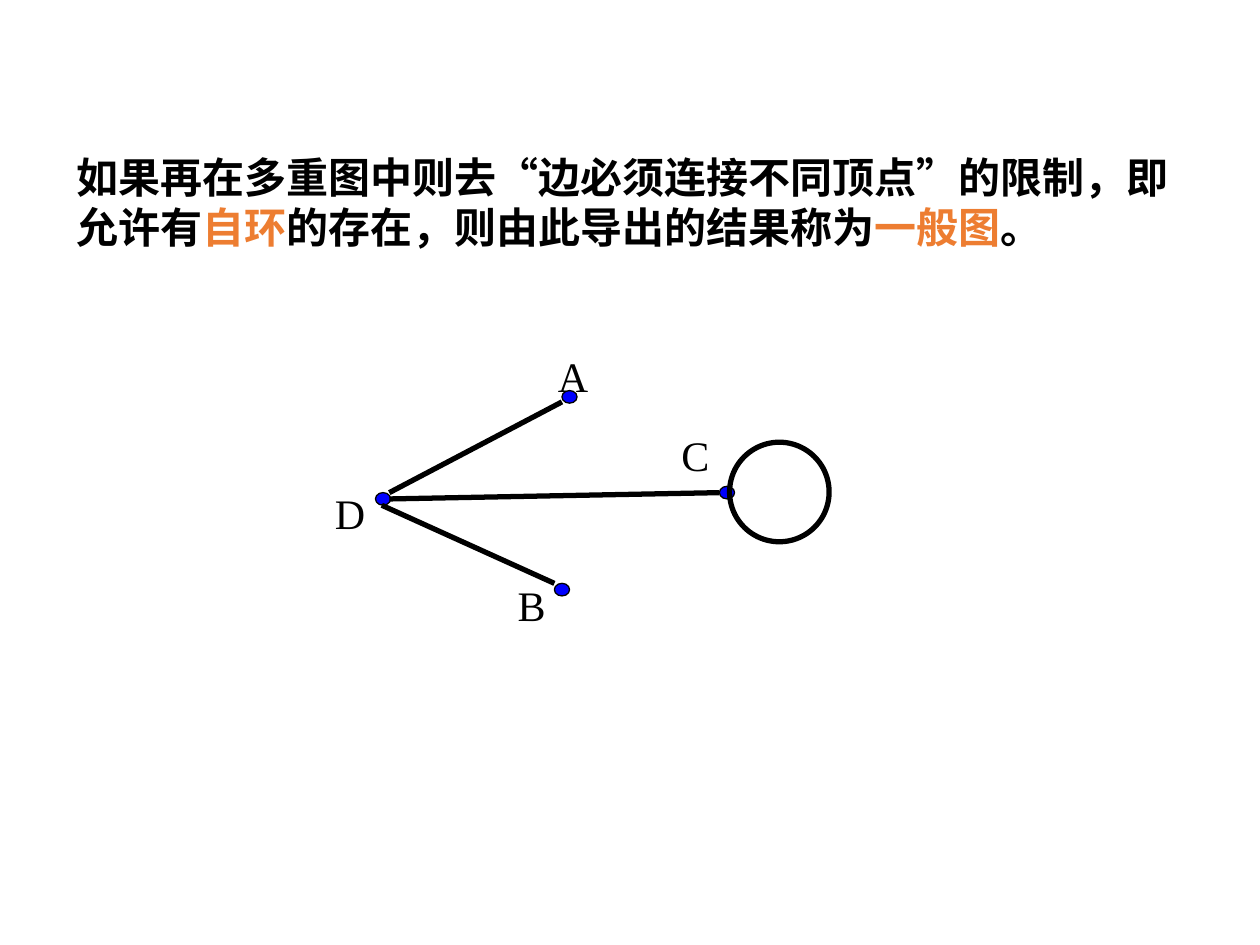
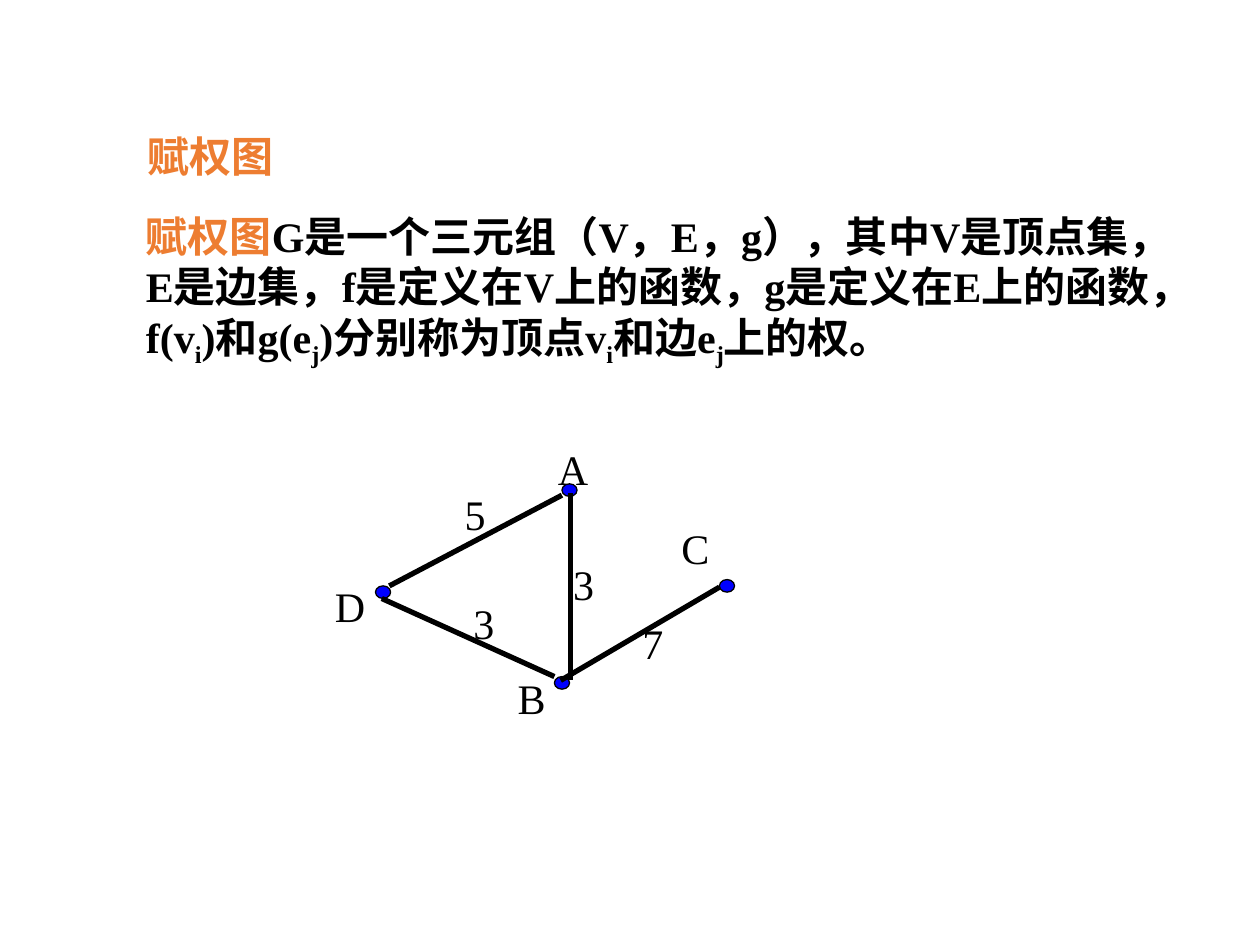
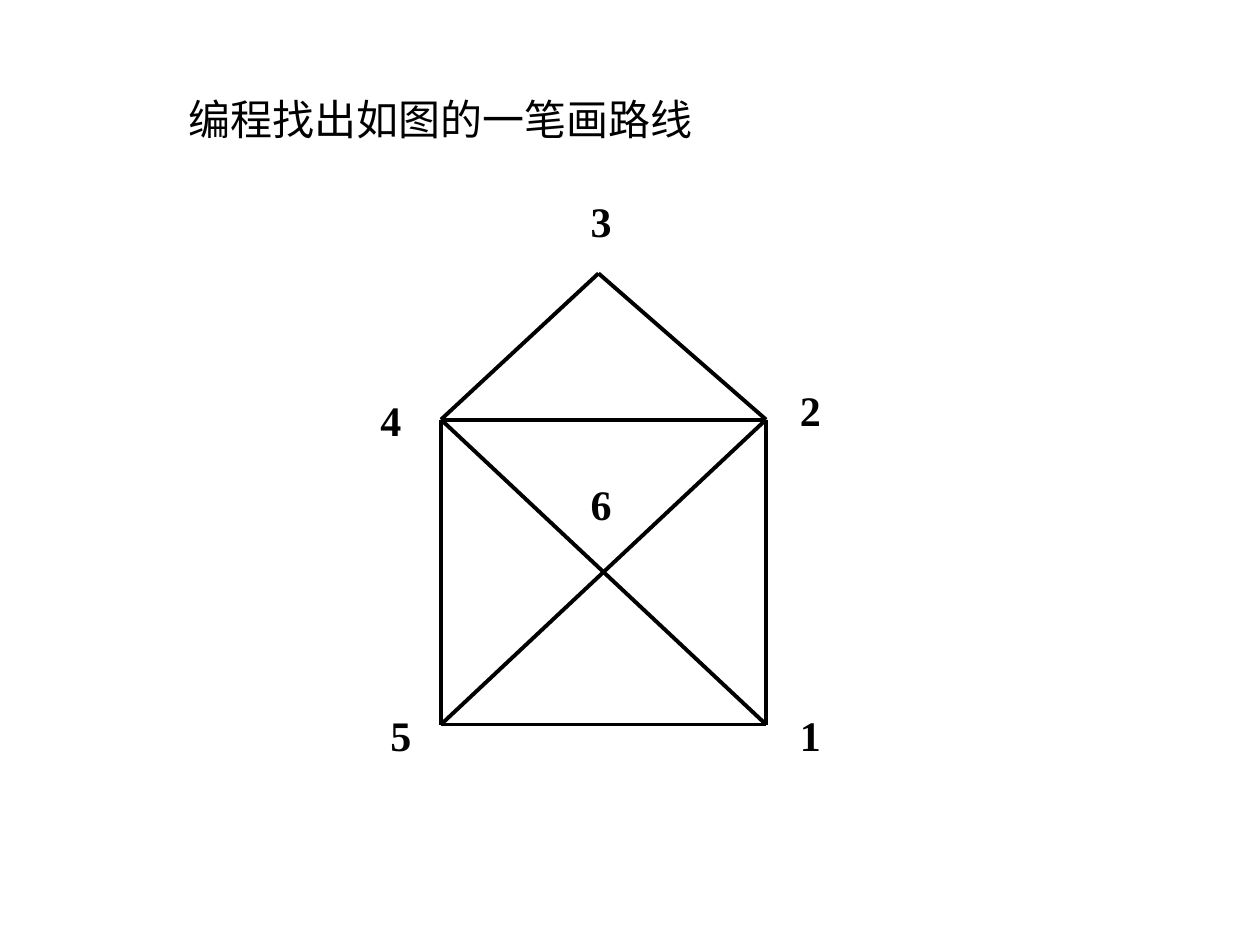
from dataclasses import dataclass

from lxml import etree
from pptx import Presentation
from pptx import util as u
from pptx.dml.color import RGBColor
from pptx.enum import shapes, text
from pptx.oxml import ns

PX = u.Inches(1) // 100


@dataclass(frozen=True)
class Theme:
    ink: str = "000000"
    accent: str = "ED7D31"
    dot: str = "0000FF"
    font: str = "Times New Roman"
    size: int = 24
    outline: float = 0.75
    edge: float = 3
    house_edge: float = 2.25
    subscript: str = "-25000"
    label_height: int = 50


THEME = Theme()

DOT_SIZE = (12, 10)
DOTS = {"D": (42, 118), "C": (315, 113), "A": (190, 37), "B": (184, 190)}
DOT_LABELS = [("A", 177, 0, 44), ("B", 145, 182, 42), ("C", 275, 63, 42), ("D", 0, 109, 44)]
SHARED_EDGES = [((53, 118), (190, 46)), ((184, 190), (47, 128))]
GENERAL_EDGES = [((315, 118), (53, 123))]
WEIGHTED_EDGES = [((315, 119), (189, 193)), ((197, 193), (197, 44))]
WEIGHTS = [("5", 103, 36, 36), ("3", 110, 122, 36), ("3", 189, 91, 36), ("7", 244, 138, 36)]
LOOP = (323, 78, 79, 79)

CORNERS = {"1": (316, 425), "2": (316, 183), "3": (183, 67), "4": (58, 183), "5": (58, 425)}
HOUSE_EDGES = ["41", "43", "32", "25", "21", "42", "51", "45"]
HOUSE_LABELS = [("5", 8, 408, 36), ("1", 333, 408, 36), ("6", 167, 225, 36),
                ("4", 0, 158, 36), ("3", 167, 0, 36), ("2", 333, 150, 36)]

GENERAL_TEXT = [
    ("如果再在多重图中则去“边必须连接不同顶点”的限制，即允许有", "ink"),
    ("自环", "accent"),
    ("的存在，则由此导出的结果称为", "ink"),
    ("一般图", "accent"),
    ("。", "ink"),
]
WEIGHTED_TEXT = [
    ("赋权图", "accent"),
    ("G是一个三元组（V，E，g），其中V是顶点集，E是边集，f是定义在V上的函数，g是定义在E上的函数，f(v", "ink"),
    ("i", "subscript"),
    (")和g(e", "ink"),
    ("j", "subscript"),
    (")分别称为顶点v", "ink"),
    ("i", "subscript"),
    ("和边e", "ink"),
    ("j", "subscript"),
    ("上的权。", "ink"),
]


def apply_format(target, values):
    for name, value in values.items():
        setattr(target, name, value)


def color(name):
    return RGBColor.from_string(getattr(THEME, name))


def add_text(parent, box, spans, bold=False, wrap=False):
    frame = parent.shapes.add_textbox(*(value * PX for value in box)).text_frame
    apply_format(frame, {"word_wrap": wrap, "auto_size": text.MSO_AUTO_SIZE.SHAPE_TO_FIT_TEXT})
    para = frame.paragraphs[0]
    for words, style in spans:
        span = para.add_run()
        span.text = words
        apply_format(span.font, {"name": THEME.font, "size": u.Pt(THEME.size), "bold": bold})
        span.font.color.rgb = color("accent" if style == "accent" else "ink")
        if style == "subscript":
            span._r.get_or_add_rPr().set("baseline", THEME.subscript)


def add_labels(parent, origin, labels, bold=False):
    left, top = origin
    for words, x, y, width in labels:
        add_text(parent, (left + x, top + y, width, THEME.label_height), [(words, "ink")], bold)


def add_edges(parent, origin, edges, width):
    left, top = origin
    for (x1, y1), (x2, y2) in edges:
        ends = (left + x1, top + y1, left + x2, top + y2)
        edge = parent.shapes.add_connector(
            shapes.MSO_CONNECTOR.STRAIGHT, *(value * PX for value in ends))
        edge.line.width = u.Pt(width)
        edge.line.color.rgb = color("ink")
        etree.SubElement(edge._element.spPr, ns.qn("a:effectLst"))


def add_ellipse(parent, origin, box, width, fill=None):
    left, top = origin
    x, y, wide, high = box
    ellipse = parent.shapes.add_shape(
        shapes.MSO_SHAPE.OVAL, *(value * PX for value in (left + x, top + y, wide, high)))
    ellipse.shadow.inherit = False
    if fill:
        ellipse.fill.solid()
        ellipse.fill.fore_color.rgb = color(fill)
    else:
        ellipse.fill.background()
    ellipse.line.width = u.Pt(width)
    ellipse.line.color.rgb = color("ink")


def add_graph(page, origin, edges):
    for place in DOTS.values():
        add_ellipse(page, origin, place + DOT_SIZE, THEME.outline, "dot")
    add_edges(page, origin, SHARED_EDGES + edges, THEME.edge)
    add_labels(page, origin, DOT_LABELS)


def add_house(page, origin):
    group = page.shapes.add_group_shape()
    edges = [(CORNERS[start], CORNERS[end]) for start, end in HOUSE_EDGES]
    add_edges(group, origin, edges, THEME.house_edge)
    add_labels(group, origin, HOUSE_LABELS, bold=True)


def build_general_graph(page):
    origin = (256, 273)
    add_text(page, (51, 115, 890, 90), GENERAL_TEXT, bold=True, wrap=True)
    add_graph(page, origin, GENERAL_EDGES)
    add_ellipse(page, origin, LOOP, THEME.edge)


def build_weighted_graph(page):
    origin = (256, 347)
    add_text(page, (106, 162, 829, 176), WEIGHTED_TEXT, bold=True, wrap=True)
    add_text(page, (107, 99, 120, THEME.label_height), [("赋权图", "accent")], bold=True)
    add_graph(page, origin, WEIGHTED_EDGES)
    add_labels(page, origin, WEIGHTS)


def build_one_stroke(page):
    add_text(page, (140, 69, 420, THEME.label_height), [("编程找出如图的一笔画路线", "ink")])
    add_house(page, (292, 150))


def main():
    deck = Presentation()
    apply_format(deck, {"slide_width": 1000 * PX, "slide_height": 750 * PX})
    for build in (build_general_graph, build_weighted_graph, build_one_stroke):
        build(deck.slides.add_slide(deck.slide_layouts[6]))
    deck.save("out.pptx")


if __name__ == "__main__":
    main()
